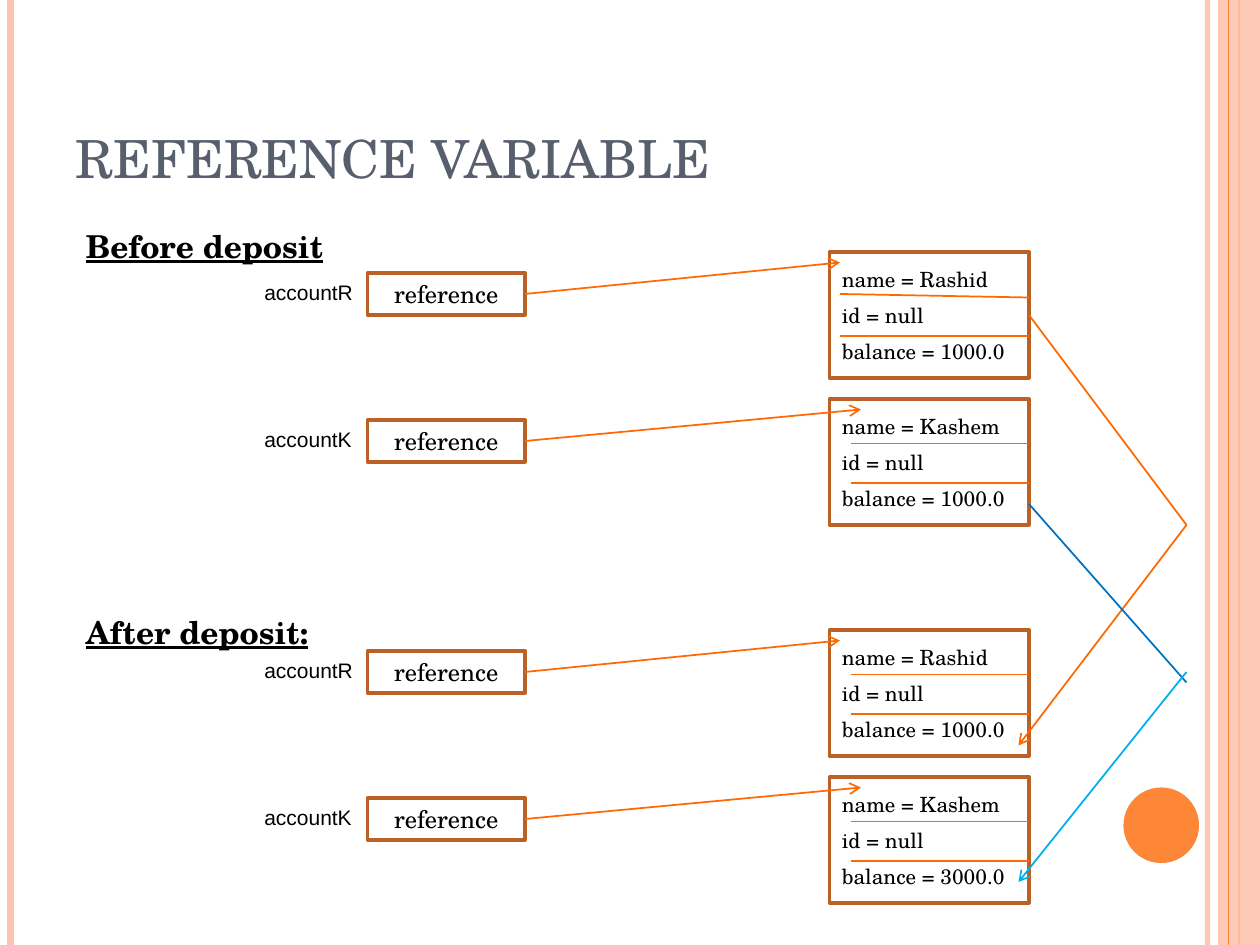
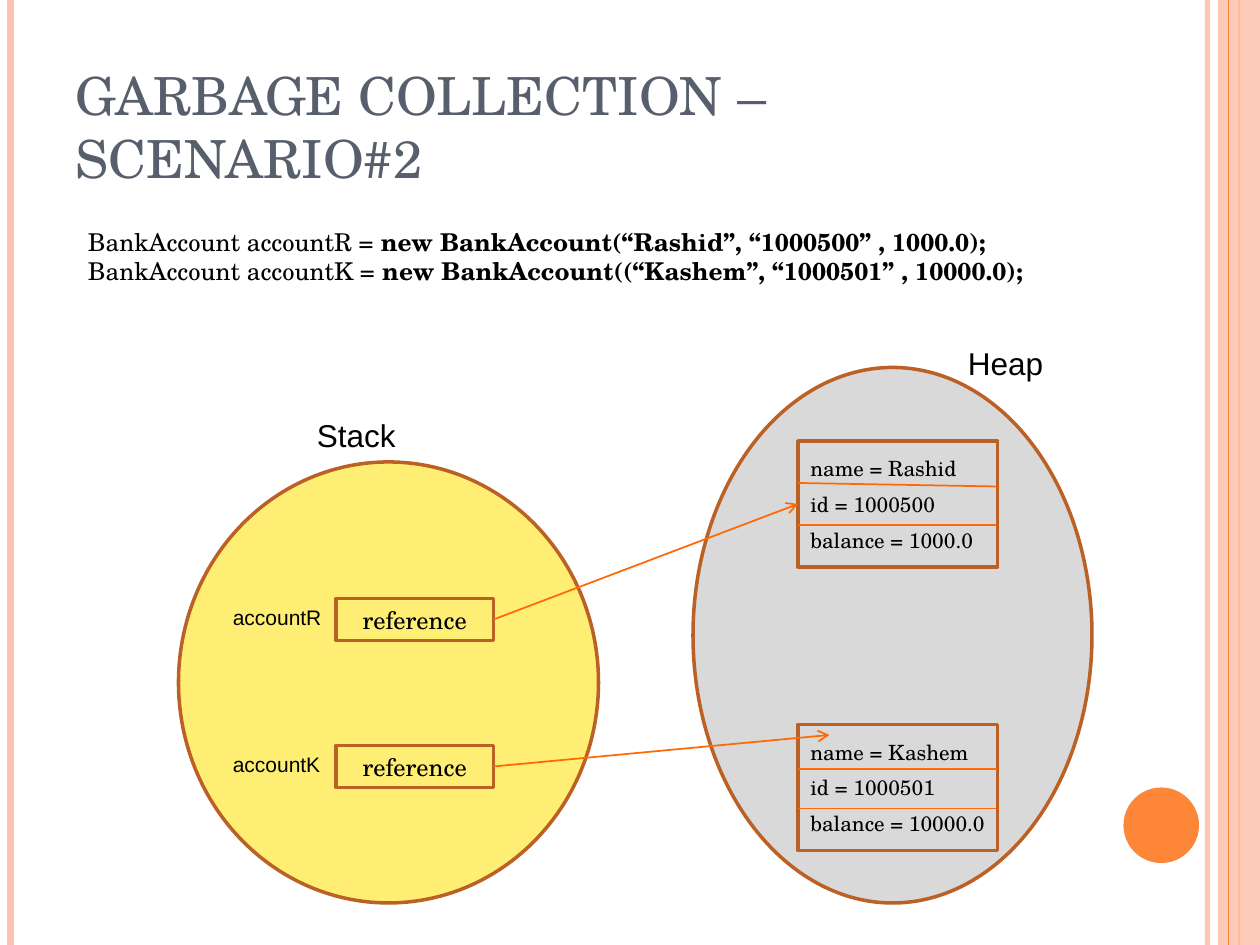
"""Two slides on reference variables and garbage collection."""
import lxml.etree
import pptx
import pptx.dml.color
import pptx.enum.shapes
import pptx.enum.text
import pptx.oxml.ns
import pptx.util

Pt = pptx.util.Pt
rgb = pptx.dml.color.RGBColor.from_string
qn = pptx.oxml.ns.qn
SHAPE = pptx.enum.shapes.MSO_SHAPE
ANCHOR = pptx.enum.text.MSO_ANCHOR
ALIGN = pptx.enum.text.PP_ALIGN
SERIF, SANS = "TeX Gyre Schola", "Arial"
PEACH, ORANGE, BROWN, WIRE = "FEC3AE", "FE8637", "BB6126", "FF6903"
TITLE, BLACK = "575F6D", "000000"


def add_box(s, at, text="", size=12, font=SERIF, color=BLACK, kind=None,
            fill=None, line=None, anchor=ANCHOR.TOP, align=ALIGN.LEFT, gap=0):
    """Add a text box, or a preset shape when a kind is given."""
    at = [Pt(v) for v in at]
    if kind is None:
        sp = s.shapes.add_textbox(*at)
    else:
        sp = s.shapes.add_shape(kind, *at)
        sp.shadow.inherit = False
        if fill:
            sp.fill.solid()
            sp.fill.fore_color.rgb = rgb(fill)
        else:
            sp.fill.background()
        if line:
            sp.line.color.rgb = rgb(line)
            sp.line.width = Pt(2)
        else:
            sp.line.fill.background()
    if text:
        tf = sp.text_frame
        tf.text = text
        tf.word_wrap = True
        tf.vertical_anchor = anchor
        for i, p in enumerate(tf.paragraphs):
            p.alignment = align
            p.space_before = Pt(gap if i else 0)
            for r in p.runs:
                r.font.size = Pt(size)
                r.font.name = font
                r.font.color.rgb = rgb(color)
    return sp


def add_line(s, start, end, color=WIRE, width=1, arrow=False):
    """Add a straight line, with an arrowhead at its end on request."""
    cn = s.shapes.add_connector(pptx.enum.shapes.MSO_CONNECTOR.STRAIGHT,
                                *[Pt(v) for v in (*start, *end)])
    cn.line.color.rgb = rgb(color)
    cn.line.width = Pt(width)
    if arrow:
        ln = cn.line._get_or_add_ln()
        lxml.etree.SubElement(ln, qn("a:tailEnd"), type="arrow")
    lxml.etree.SubElement(cn._element.spPr, qn("a:effectLst"))
    return cn


prs = pptx.Presentation()
prs.slide_width, prs.slide_height = Pt(720), Pt(540)
slides = []
for title in ("REFERENCE VARIABLE", "GARBAGE COLLECTION – SCENARIO#2"):
    s = prs.slides.add_slide(prs.slide_layouts[6])
    slides.append(s)
    edge = add_line(s, (690, 0), (690, 540), PEACH, 3)
    add_line(s, (6, 0), (6, 540), PEACH, 4.5)
    add_line(s, (708, 0), (708, 540), ORANGE, 1.5)
    band = add_box(s, (696, 0, 24, 540), kind=SHAPE.RECTANGLE, fill=PEACH)
    add_line(s, (702, 0), (702, 540), ORANGE, 0.75)
    add_box(s, (642, 450, 43.2, 43.2), kind=SHAPE.OVAL, fill=ORANGE)
    for sp, alpha in ((edge, "93000"), (band, "87000")):
        clr = next(sp._element.spPr.iter(qn("a:srgbClr")))
        lxml.etree.SubElement(clr, qn("a:alpha"), val=alpha)
    add_box(s, (36, 21.6, 588, 90), title, 30, color=TITLE, anchor=ANCHOR.BOTTOM)
variables, garbage = slides

for top, heading in ((126, "Before deposit"), (346.5, "After deposit:")):
    sp = add_box(variables, (42, top, 240, 30), heading, 18)
    r = sp.text_frame.paragraphs[0].runs[0]
    r.font.bold = r.font.underline = True

sp = add_box(garbage, (43.2, 126, 581, 45),
             "BankAccount accountR = \nBankAccount accountK = ", 14)
calls = ("new BankAccount(“Rashid”, “1000500” , 1000.0);",
         "new BankAccount((“Kashem”, “1000501” , 10000.0);")
for p, call in zip(sp.text_frame.paragraphs, calls):
    r = p.add_run()
    r.text = call
    r.font.size, r.font.name, r.font.bold = Pt(14), SERIF, True
    r.font.color.rgb = rgb(BLACK)
add_box(garbage, (102, 264, 240, 252), kind=SHAPE.OVAL, fill="FFEE74", line=BROWN)
add_box(garbage, (396, 210, 228, 306), kind=SHAPE.OVAL, fill="D9D9D9", line=BROWN)
add_box(garbage, (546, 193, 72, 29), "Heap", 18, SANS)
add_box(garbage, (174, 234, 72, 29), "Stack", 18, SANS)

SLOPED, LEVEL = (24, 26), (25.4, 25.4)
accounts = [
    (variables, 0, 156, 144, "Rashid", "null", "1000.0", 6, SLOPED, (6, 6)),
    (variables, 0, 240, 228, "Kashem", "null", "1000.0", 12, LEVEL, (18, 6)),
    (variables, 0, 372, 360, "Rashid", "null", "1000.0", 12, LEVEL, (6, 6)),
    (variables, 0, 456, 444, "Kashem", "null", "3000.0", 12, LEVEL, (18, 6)),
    (garbage, -18, 342, 252, "Rashid", "1000500", "1000.0", 0, SLOPED, (0, 36)),
    (garbage, -18, 426, 414, "Kashem", "1000501", "10000.0", 0, LEVEL, (18, 6)),
]
for s, dx, ref_y, rec_y, name, number, balance, inset, divider, tip in accounts:
    ref_x, rec_x = 210 + dx, 474 + dx
    add_box(s, (ref_x, ref_y, 90, 24), "reference", 14, kind=SHAPE.RECTANGLE,
            line=BROWN, anchor=ANCHOR.MIDDLE, align=ALIGN.CENTER)
    add_box(s, (ref_x - 66, ref_y, 69, 21.6), "account" + name[0], 12, SANS)
    add_box(s, (rec_x, rec_y, 114, 72),
            f"name = {name}\nid = {number}\nbalance = {balance}", 12,
            kind=SHAPE.RECTANGLE, line=BROWN, anchor=ANCHOR.MIDDLE, gap=6)
    for left, right in (divider, (48, 48)):
        add_line(s, (rec_x + inset, rec_y + left), (rec_x + 114, rec_y + right))
    add_line(s, (ref_x + 90, ref_y + 12), (rec_x + tip[0], rec_y + tip[1]), arrow=True)

add_line(variables, (588, 180), (678, 300))
add_line(variables, (678, 300), (582, 426), arrow=True)
add_line(variables, (588, 288), (678, 390), "0070C0")
add_line(variables, (678, 384), (582, 504), "00B0F0", arrow=True)

prs.save("out.pptx")
